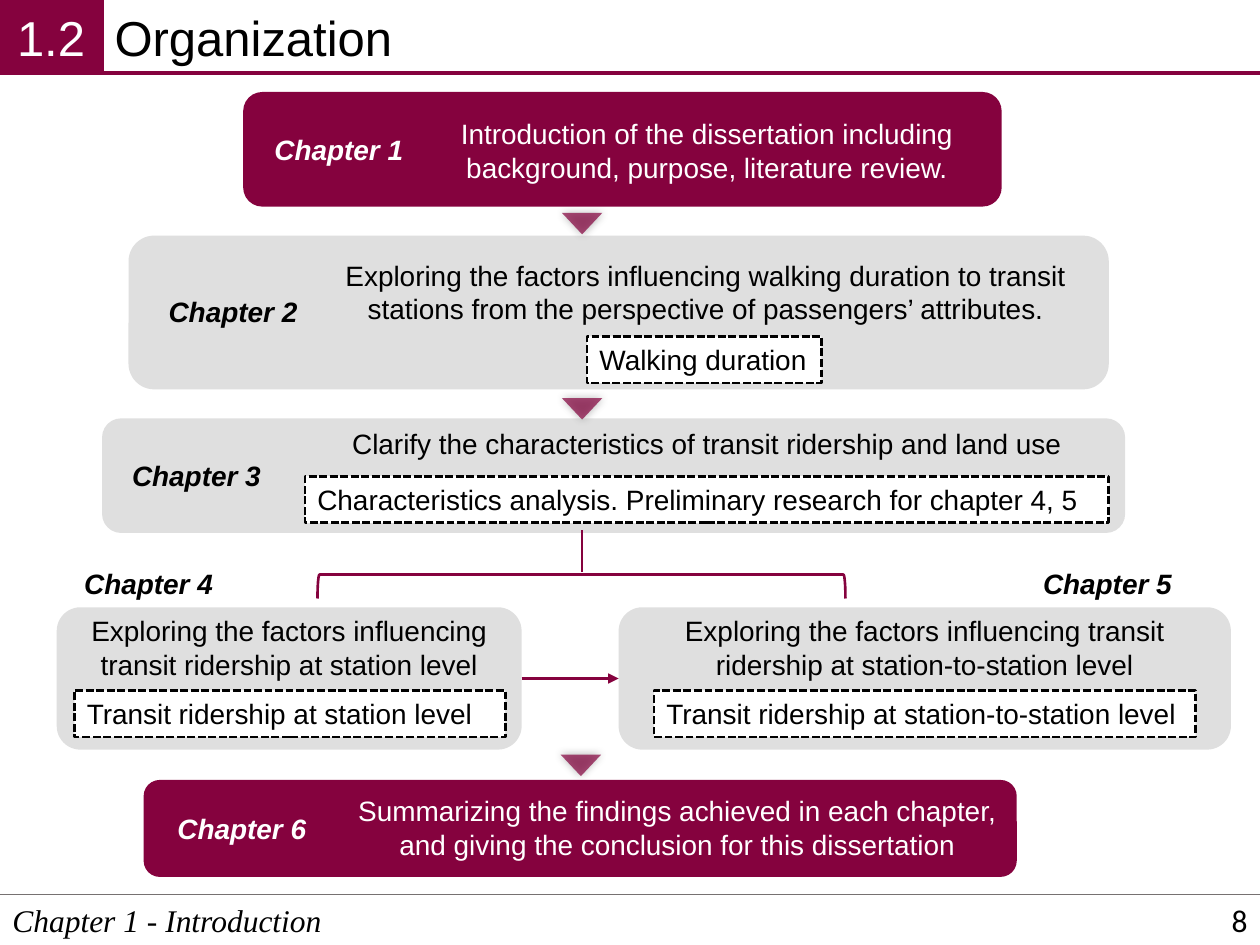
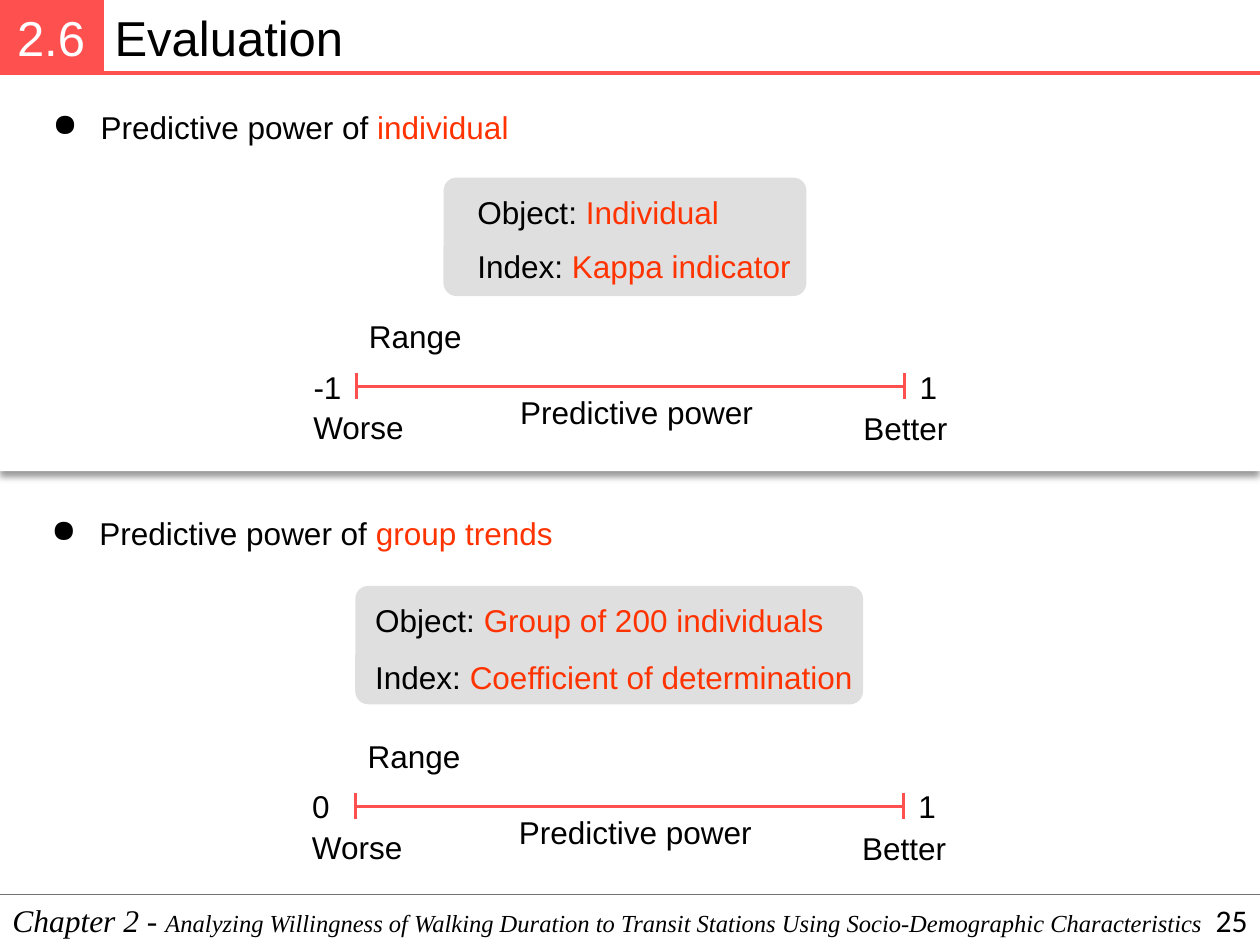
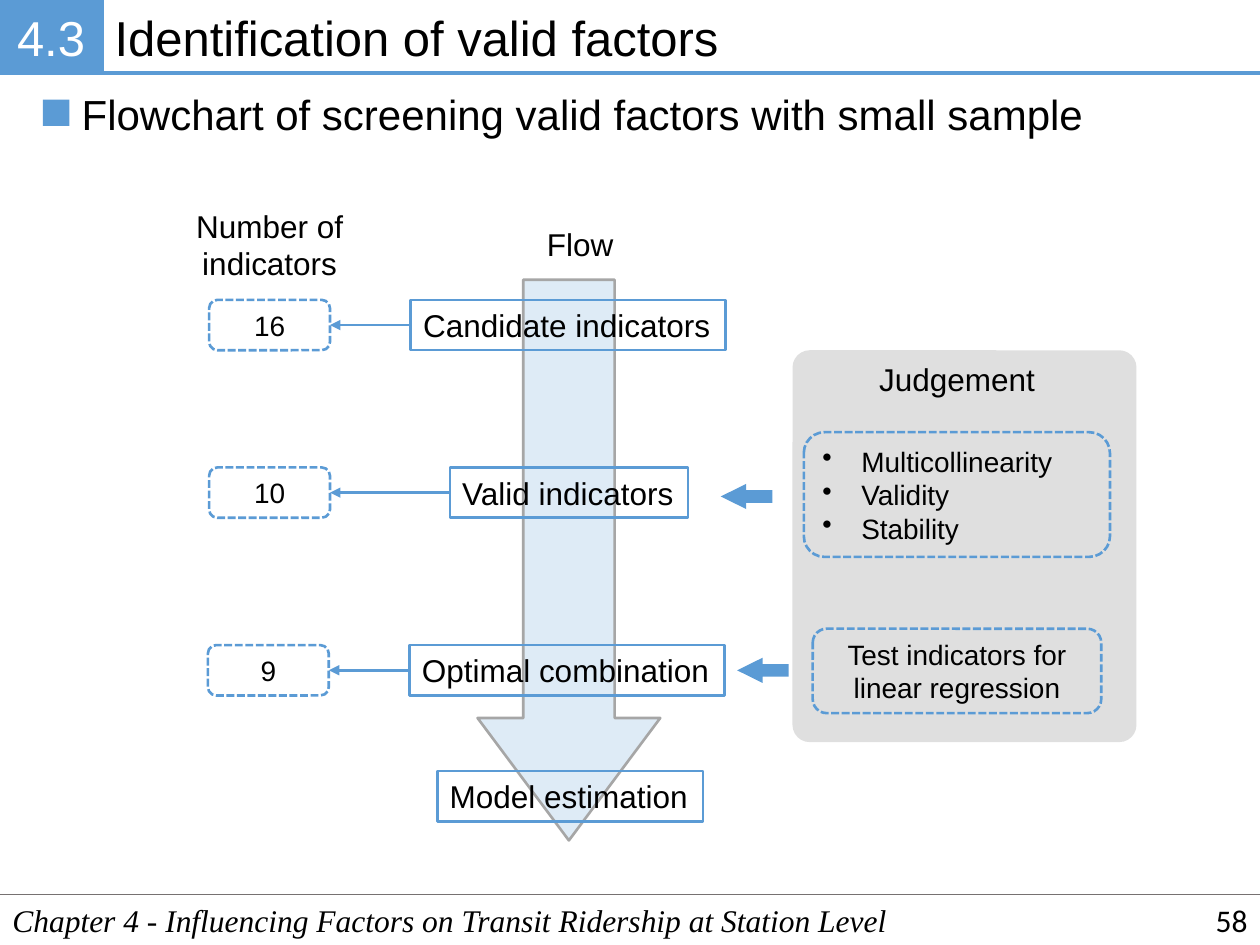
from pptx import Presentation
from pptx import util as u
from pptx.dml import color as dml_color
from pptx.enum import dml, shapes, text
from pptx.oxml import ns, xmlchemy

COLORS = {
    "black": "000000",
    "white": "FFFFFF",
    "gray": "808080",
    "rule": "767171",
    "outline": "A6A6A6",
    "maroon": "85023E",
    "coral": "FF5050",
    "blue": "5B9BD5",
    "highlight": "FF3300",
}
COLUMNS, ROWS = 100, 75
TITLE_ONLY = 5
SHAPE = shapes.MSO_SHAPE
ALIGN = {"left": text.PP_ALIGN.LEFT, "center": text.PP_ALIGN.CENTER, "right": text.PP_ALIGN.RIGHT}
ANCHOR = {"top": text.MSO_ANCHOR.TOP, "middle": text.MSO_ANCHOR.MIDDLE}


def rgb(name):
    return dml_color.RGBColor.from_string(COLORS[name])


def add_element(parent, tag, **attributes):
    element = xmlchemy.OxmlElement(tag)
    for name, value in attributes.items():
        element.set(name, str(value))
    parent.append(element)
    return element


def write(frame, *paragraphs, size=18, color="black", font="Arial", bold=False, italic=False,
          align="left", anchor="top", wrap=True, margin=None, bullet=None, indent=0.38):
    frame.auto_size = text.MSO_AUTO_SIZE.NONE
    frame.word_wrap = wrap
    frame.vertical_anchor = ANCHOR[anchor]
    if margin is not None:
        frame.margin_left = frame.margin_right = u.Inches(margin)
        frame.margin_top = frame.margin_bottom = u.Inches(margin)
    for index, content in enumerate(paragraphs):
        paragraph = frame.add_paragraph() if index else frame.paragraphs[0]
        paragraph.alignment = ALIGN[align]
        if bullet:
            properties = paragraph._p.get_or_add_pPr()
            properties.set("marL", str(u.Inches(indent)))
            properties.set("indent", str(-u.Inches(indent)))
            add_element(properties, "a:buChar", char=bullet)
        runs = [(content, {})] if isinstance(content, str) else content
        for words, changes in runs:
            run = paragraph.add_run()
            run.text = words
            run.font.name = font
            run.font.size = u.Pt(changes.get("size", size))
            run.font.bold = bold
            run.font.italic = italic
            run.font.color.rgb = rgb(changes.get("color", color))


class Deck:
    def __init__(self):
        self.presentation = Presentation()
        self.presentation.slide_width = u.Inches(10)
        self.presentation.slide_height = u.Inches(7.5)
        self.column = self.presentation.slide_width / COLUMNS
        self.row = self.presentation.slide_height / ROWS

    def place(self, left, top, width, height):
        return (round(left * self.column), round(top * self.row),
                round(width * self.column), round(height * self.row))

    def start(self, number, title, footer, page, accent):
        layout = self.presentation.slide_layouts[TITLE_ONLY]
        self.slide = self.presentation.slides.add_slide(layout)
        self.accent = accent
        heading = self.slide.shapes.title
        heading.left, heading.top, heading.width, heading.height = self.place(8.1, 0.1, 91.9, 5.7)
        write(heading.text_frame, title, size=28)
        self.number, self.footer, self.page = number, footer, page

    def frame(self):
        badge = self.box(0, 0, 8.1, 5.8, fill=self.accent, line=self.accent, weight=2.25)
        write(badge.text_frame, self.number, size=28, color="white", align="center",
              anchor="middle", margin=0.06)
        self.line((8.1, 5.8), (COLUMNS, 5.8), weight=2.25)
        self.line((0, 71), (COLUMNS, 71), color="rule", weight=1)
        self.label(0, 71, COLUMNS, 4, self.footer, font="Times New Roman", italic=True)
        self.label(77.5, 71, 22.5, 4, self.page, font="Calibri", align="right", anchor="middle")

    def box(self, left, top, width, height, kind=SHAPE.RECTANGLE, fill=None, opacity=100,
            line=None, weight=1.5, dashed=False, adjust=(), rotation=0, shadow=None):
        shape = self.slide.shapes.add_shape(kind, *self.place(left, top, width, height))
        shape.shadow.inherit = False
        shape.rotation = rotation
        for index, value in enumerate(adjust):
            shape.adjustments[index] = value
        if fill:
            shape.fill.solid()
            shape.fill.fore_color.rgb = rgb(fill)
            if opacity < 100:
                tint = shape._element.spPr.find(ns.qn("a:solidFill"))[0]
                add_element(tint, "a:alpha", val=opacity * 1000)
        else:
            shape.fill.background()
        if line:
            shape.line.color.rgb = rgb(line)
            shape.line.width = u.Pt(weight)
            if dashed:
                shape.line.dash_style = dml.MSO_LINE.SQUARE_DOT
        else:
            shape.line.fill.background()
        if shadow:
            blur, distance, degrees = shadow
            effects = shape._element.spPr.find(ns.qn("a:effectLst"))
            outer = add_element(effects, "a:outerShdw", blurRad=u.Pt(blur), dist=u.Pt(distance),
                                dir=degrees * 60000, rotWithShape=0)
            tint = add_element(outer, "a:srgbClr", val=COLORS["black"])
            add_element(tint, "a:alpha", val=40000)
        return shape

    def panel(self, left, top, width, height, fill="gray", **style):
        opacity = 25 if fill == "gray" else 100
        return self.box(left, top, width, height, kind=SHAPE.ROUNDED_RECTANGLE,
                        fill=fill, opacity=opacity, **style)

    def label(self, left, top, width, height, *paragraphs, **style):
        shape = self.slide.shapes.add_textbox(*self.place(left, top, width, height))
        write(shape.text_frame, *paragraphs, **style)
        return shape

    def line(self, start, end, color=None, weight=1.5, arrow=False):
        points = self.place(*start, *end)
        connector = self.slide.shapes.add_connector(shapes.MSO_CONNECTOR.STRAIGHT, *points)
        connector.line.color.rgb = rgb(color or self.accent)
        connector.line.width = u.Pt(weight)
        if arrow:
            add_element(connector.line._get_or_add_ln(), "a:tailEnd", type="triangle")
        add_element(connector._element.spPr, "a:effectLst")
        return connector

    def join(self, source, source_side, target, target_side):
        connector = self.line((0, 0), (0, 0), arrow=True)
        connector.begin_connect(source, source_side)
        connector.end_connect(target, target_side)

    def chapter(self, number, area, name_at, summary_at, summary, fill="gray", topic=None,
                topic_at=None, topic_wrap=False):
        color = "black" if fill == "gray" else "white"
        panel = self.panel(*area, fill=fill)
        self.label(*name_at, 12.4, 3.7, f"Chapter {number}", size=16, color=color,
                   bold=True, italic=True, wrap=False)
        if topic:
            card = self.box(*topic_at, 3.7, fill="white", line="black", dashed=True)
            write(card.text_frame, topic, size=16, wrap=topic_wrap)
        self.label(*summary_at, 6.4, summary, size=16, color=color, align="center")
        return panel

    def scale(self, left, axis, low):
        right = left + 43.5
        self.line((left, axis), (right, axis))
        for end in (left, right):
            self.line((end, axis - 1.1), (end, axis + 1))
        self.label(left - 4.4, axis - 2, 5, 4, low)
        self.label(right + 0.2, axis - 2, 3.4, 4, "1", wrap=False)
        self.label(left - 4.6, axis + 1.2, 9.5, 4, "Worse", align="center")
        self.label(right - 4.7, axis + 1.3, 9.5, 4, "Better", align="center")
        self.label(left, axis - 6, 9.5, 4, "Range", wrap=False)
        self.label(left + 12, axis, 20.8, 4, "Predictive power")


def accented(plain, strong):
    return [(plain, {}), (strong, {"color": "highlight"})]


def organization(deck):
    deck.start("1.2", "Organization", "Chapter 1 - Introduction", "8", "maroon")
    deck.frame()
    for left, top in ((44.6, 16.9), (44.6, 31.6), (44.5, 59.9)):
        deck.box(left, top, 3.2, 1.7, kind=SHAPE.ISOSCELES_TRIANGLE, fill="maroon", opacity=70,
                 rotation=180, shadow=(5, 0, 0))
    deck.chapter(1, (19.3, 7.3, 60.2, 9.1), (20.8, 10), (32.7, 8.8, 46.8),
                 "Introduction of the dissertation including background, purpose, "
                 "literature review.", fill="maroon")
    deck.chapter(2, (10.2, 18.7, 77.8, 12.2), (12.4, 22.9), (23.9, 20, 64.2),
                 "Exploring the factors influencing walking duration to transit stations "
                 "from the perspective of passengers’ attributes.",
                 topic="Walking duration", topic_at=(46.6, 26.7, 18.6))
    deck.chapter(3, (8.1, 33.2, 81.2, 9.1), (9.5, 35.9), (23, 33.4, 66.2),
                 "Clarify the characteristics of transit ridership and land use",
                 topic="Characteristics analysis. Preliminary research for chapter 4, 5",
                 topic_at=(24.2, 37.8, 63.8), topic_wrap=True)
    station = deck.chapter(4, (4.5, 48.2, 36.9, 11.3), (5.7, 44.5), (4.5, 48.2, 36.9),
                           "Exploring the factors influencing transit ridership "
                           "at station level",
                           topic="Transit ridership at station level",
                           topic_at=(5.9, 54.8, 34.2))
    pair = deck.chapter(5, (49.1, 48.2, 48.6, 11.3), (81.8, 44.5), (49.1, 48.2, 48.6),
                        "Exploring the factors influencing transit ridership "
                        "at station-to-station level",
                        topic="Transit ridership at station-to-station level",
                        topic_at=(51.9, 54.8, 43))
    deck.chapter(6, (11.4, 61.9, 69.3, 7.7), (13.1, 63.9), (26.8, 62.5, 53.9),
                 "Summarizing the findings achieved in each chapter, and giving "
                 "the conclusion for this dissertation", fill="maroon")
    deck.box(45.2, 25.6, 1.9, 41.9, kind=SHAPE.LEFT_BRACKET, line="maroon", rotation=90)
    deck.line((46.2, 42.1), (46.2, 45.4))
    deck.join(station, 3, pair, 1)


def evaluation(deck):
    footer = [("Chapter 2 - ", {}),
              ("Analyzing Willingness of Walking Duration to Transit Stations Using "
               "Socio-Demographic Characteristics", {"size": 14})]
    deck.start("2.6", "Evaluation", footer, "25", "coral")
    deck.box(0, 5.8, COLUMNS, 31.6, fill="white", shadow=(4, 3, 90))
    deck.frame()
    for left, top, trend in ((3.2, 8.1, "individual"), (3.1, 40.3, "group trends")):
        deck.label(left, top, 93.8, 4, accented("Predictive power of ", trend), bullet="●")
    deck.panel(35.2, 14.1, 28.8, 9.4, adjust=[0.11])
    deck.label(36.9, 14.8, 21.4, 4, accented("Object: ", "Individual"), wrap=False)
    deck.label(36.9, 19.1, 27.1, 4, accented("Index: ", "Kappa indicator"), wrap=False)
    deck.panel(28.2, 46.5, 40.3, 9.4, adjust=[0.11])
    deck.label(28.8, 47.2, 42.4, 4, accented("Object: ", "Group of 200 individuals"))
    deck.label(28.8, 51.7, 40.3, 4, accented("Index: ", "Coefficient of determination"),
               wrap=False)
    deck.scale(28.3, 30.7, "-1")
    deck.scale(28.2, 64, "0")


def valid_factors(deck):
    deck.start("4.3", "Identification of valid factors",
               "Chapter 4 - Influencing Factors on Transit Ridership at Station Level",
               "58", "blue")
    deck.panel(62.9, 27.8, 27.3, 31.1, adjust=[0.05])
    deck.box(37.9, 22.2, 14.5, 44.5, kind=SHAPE.DOWN_ARROW, fill="blue", opacity=20,
             line="outline", adjust=[0.5, 0.67])
    deck.frame()
    deck.box(3.4, 7.9, 2.1, 2.1, fill="blue")
    deck.label(5.5, 6.5, 82.3, 5, "Flowchart of screening valid factors with small sample",
               size=24, wrap=False)
    deck.label(14.5, 15.9, 13.8, 7.1, "Number of", "indicators", align="center", wrap=False)
    deck.label(42.4, 17.4, 7.3, 4, "Flow", align="center", wrap=False)
    deck.label(68.7, 28.1, 14.5, 4, "Judgement", align="center", wrap=False)
    steps = (
        ("Candidate indicators", 32.6, 23.8, 25, "16", 16.6),
        ("Valid indicators", 35.7, 37.1, 18.9, "10", 16.6),
        ("Optimal combination", 32.5, 51.2, 25, "9", 16.5),
        ("Model estimation", 34.7, 61.2, 21.1, None, None),
    )
    for name, left, top, width, count, count_left in steps:
        step = deck.box(left, top, width, 4, line="blue")
        write(step.text_frame, name, wrap=False)
        if count:
            tally = deck.panel(count_left, top, 9.6, 4, fill=None, line="blue", dashed=True)
            write(tally.text_frame, count, size=16, align="center", anchor="middle")
            deck.join(step, 1, tally, 3)
    checks = deck.panel(63.8, 34.3, 24.3, 9.9, fill=None, line="blue", dashed=True)
    write(checks.text_frame, "Multicollinearity", "Validity", "Stability", size=16,
          anchor="middle", bullet="•", indent=0.31)
    test = deck.panel(64.5, 49.9, 22.9, 6.7, fill=None, line="blue", dashed=True)
    write(test.text_frame, "Test indicators for linear regression", size=16,
          align="center", anchor="middle")
    for left, top in ((57.2, 38.4), (58.5, 52.2)):
        deck.box(left, top, 4.1, 2, kind=SHAPE.RIGHT_ARROW, fill="blue", rotation=180,
                 adjust=[0.5, 1.01])


def main():
    deck = Deck()
    for build in (organization, evaluation, valid_factors):
        build(deck)
    deck.presentation.save("out.pptx")


if __name__ == "__main__":
    main()
